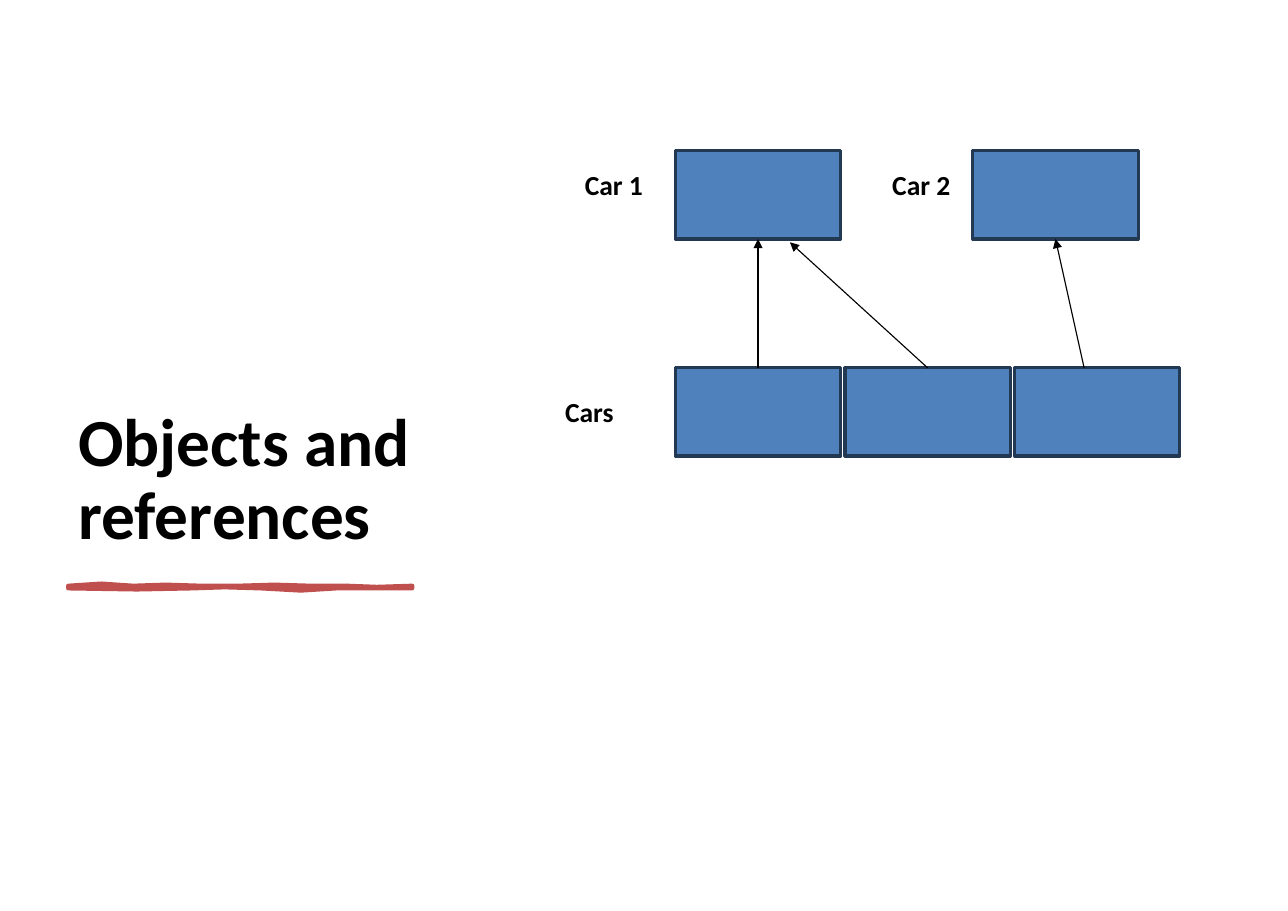
from lxml import etree
from pptx import Presentation
from pptx.dml.color import RGBColor
from pptx.enum.shapes import MSO_CONNECTOR, MSO_SHAPE
from pptx.enum.text import MSO_ANCHOR, MSO_AUTO_SIZE, PP_ALIGN
from pptx.oxml.ns import qn
from pptx.util import Inches, Pt

RECTANGLE = MSO_SHAPE.RECTANGLE
STRAIGHT = MSO_CONNECTOR.STRAIGHT
BOTTOM, TOP = MSO_ANCHOR.BOTTOM, MSO_ANCHOR.TOP
LEFT = PP_ALIGN.LEFT
NO_AUTOFIT, GROW = MSO_AUTO_SIZE.NONE, MSO_AUTO_SIZE.SHAPE_TO_FIT_TEXT

TOP_SIDE, BOTTOM_SIDE = 0, 2
BLACK, BLUE, NAVY, RED = "000000", "4F81BD", "233953", "C0504D"
BOX_WIDTH, BOX_HEIGHT = 1.5, 0.8

# Outline of the underline, measured from its left end
UNDERLINE = [
    (0.3, -0.02), (0.59, 0), (0.88, -0.01), (1.21, 0), (1.54, 0),
    (1.87, -0.01), (2.2, 0), (2.53, 0), (2.8, 0.01), (3.12, 0),
    (3.12, 0.02), (2.74, 0.02), (2.43, 0.02), (2.11, 0.04), (1.75, 0.02),
    (1.42, 0.01), (1.12, 0.02), (0.62, 0.03), (0, 0.02),
]


def color(hex_value):
    return RGBColor.from_string(hex_value)


def place(shape, left, top, width, height):
    shape.left, shape.top = Inches(left), Inches(top)
    shape.width, shape.height = Inches(width), Inches(height)


def write(shape, text, size, anchor=TOP, fit=GROW, line_spacing=None, after=0):
    frame = shape.text_frame
    frame.word_wrap, frame.auto_size, frame.vertical_anchor = True, fit, anchor
    paragraph = frame.paragraphs[0]
    paragraph.alignment = LEFT
    paragraph.line_spacing, paragraph.space_after = line_spacing, Pt(after)
    run = paragraph.add_run()
    run.text = text
    font = run.font
    font.name, font.size, font.bold = "Calibri", Pt(size), True
    font.color.rgb = color(BLACK)


def paint(shape, fill, line, weight):
    shape.shadow.inherit = False
    shape.fill.solid()
    shape.fill.fore_color.rgb = color(fill)
    shape.line.color.rgb = color(line)
    shape.line.width = Pt(weight)


def add_underline(slide, left, top):
    builder = slide.shapes.build_freeform(Inches(left), Inches(top), scale=1)
    builder.add_line_segments(
        [(Inches(left + x), Inches(top + y)) for x, y in UNDERLINE], close=True)
    paint(builder.convert_to_shape(), fill=RED, line=RED, weight=3)


def add_heading(slide, left, top, width, height):
    title = slide.shapes.title
    place(title, left, top, width, height)
    write(title, "Objects and references", 44, anchor=BOTTOM, fit=NO_AUTOFIT,
          line_spacing=0.9, after=6)
    add_underline(slide, left + 0.01, top + height + 0.24)


def add_box(slide, left, top):
    box = slide.shapes.add_shape(RECTANGLE, Inches(left), Inches(top),
                                 Inches(BOX_WIDTH), Inches(BOX_HEIGHT))
    paint(box, fill=BLUE, line=NAVY, weight=2)
    return box


def add_label(slide, text, left, top, width):
    label = slide.shapes.add_textbox(Inches(left), Inches(top),
                                     Inches(width), Inches(0.4))
    write(label, text, 18)


def add_arrow(slide, start, end, source=None, target=None):
    arrow = slide.shapes.add_connector(
        STRAIGHT, *(Inches(value) for value in (*start, *end)))
    if source:
        arrow.begin_connect(source, TOP_SIDE)
    if target:
        arrow.end_connect(target, BOTTOM_SIDE)
    arrow.line.width = Pt(0.75)
    arrow.line.color.rgb = color(BLACK)
    line = arrow.line._get_or_add_ln()
    etree.SubElement(line, qn("a:tailEnd"), type="triangle")
    etree.SubElement(arrow._element.spPr, qn("a:effectLst"))


def add_diagram(slide, left, top):
    array_top = top + 1.97
    middle = BOX_WIDTH / 2
    objects_bottom = top + BOX_HEIGHT
    # Array cells below, car objects above
    cells = [add_box(slide, left + i * 1.54, array_top) for i in range(3)]
    car_1, car_2 = [add_box(slide, left + i * 2.7, top) for i in range(2)]
    # Labels
    add_label(slide, "Car 1", left - 0.92, top + 0.11, 1.84)
    add_label(slide, "Cars", left - 1.1, array_top + 0.2, 0.88)
    add_label(slide, "Car 2", left + 1.87, top + 0.11, 1.84)
    # References from the cells to the objects
    add_arrow(slide, (left + middle, array_top), (left + middle, objects_bottom),
              source=cells[0], target=car_1)
    add_arrow(slide, (left + 2.29, array_top), (left + 1.04, objects_bottom + 0.03),
              source=cells[1])
    add_arrow(slide, (left + 3.71, array_top), (left + 3.45, objects_bottom),
              target=car_2)


def main():
    deck = Presentation()
    deck.slide_width, deck.slide_height = Inches(11.69), Inches(8.27)
    slide = deck.slides.add_slide(deck.slide_layouts.get_by_name("Title Only"))
    add_heading(slide, 0.61, 0.77, 3.43, 4.31)
    add_diagram(slide, 6.13, 1.37)
    deck.save("out.pptx")


if __name__ == "__main__":
    main()
